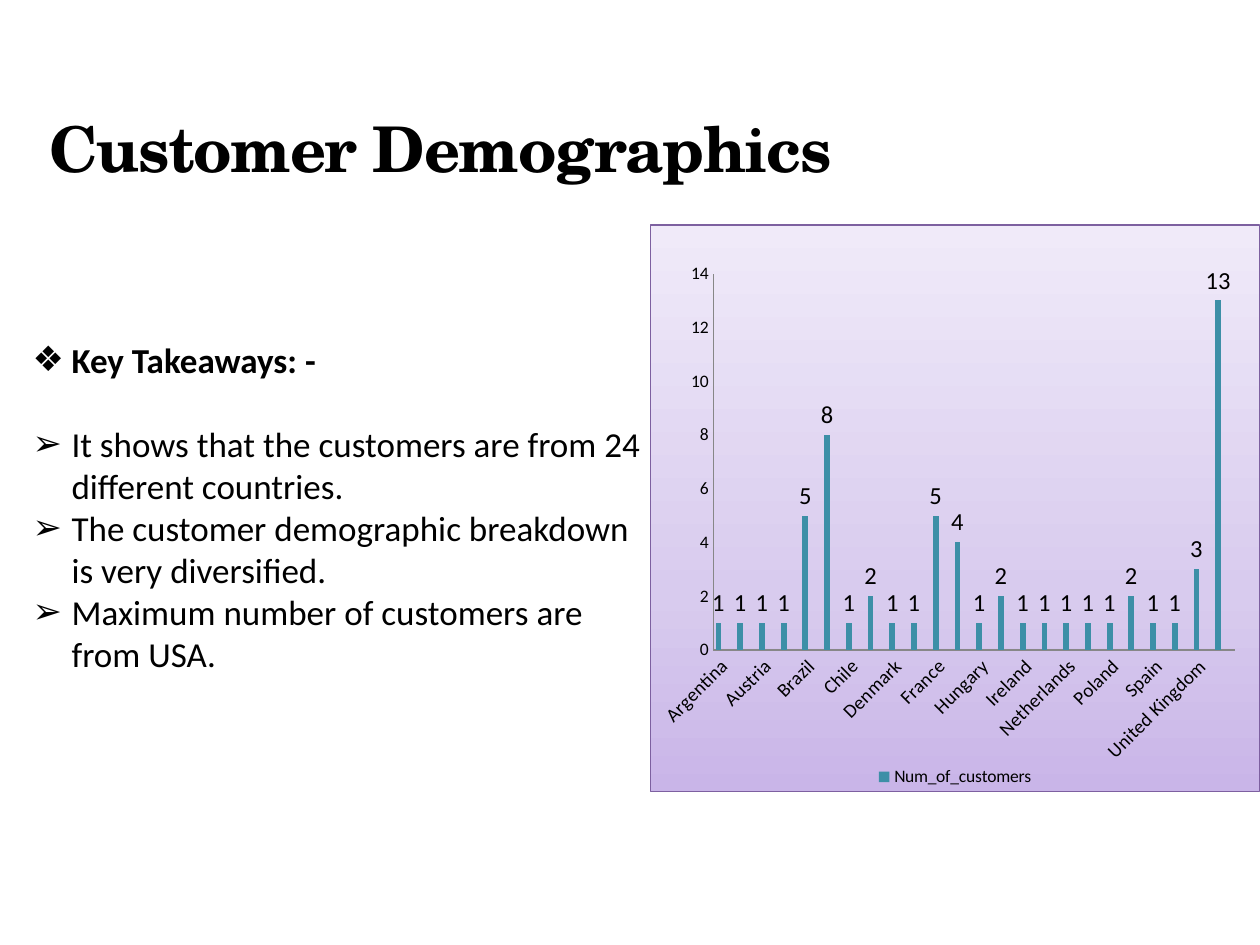
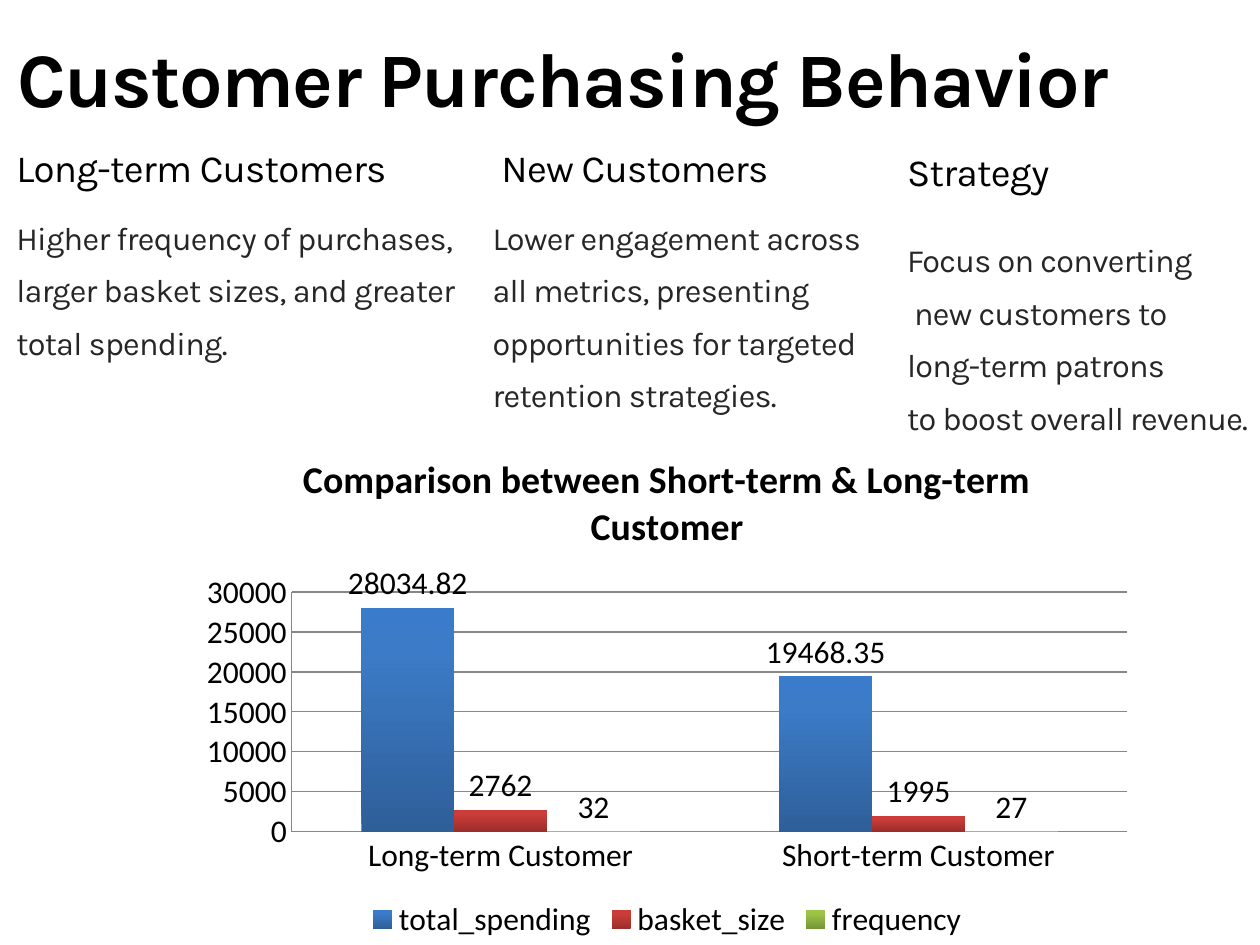
from dataclasses import dataclass

from lxml import etree
from pptx import Presentation
from pptx import util as u
from pptx.chart.data import CategoryChartData
from pptx.dml.color import RGBColor
from pptx.enum import chart as ch, text
from pptx.oxml import parse_xml
from pptx.oxml.ns import nsdecls, qn

COLS, ROWS = 100, 75
TITLE_ONLY = 5


@dataclass(frozen=True)
class Theme:
    ink: str = "000000"
    soft_ink: str = "272525"
    axis: str = "878787"
    teal: str = "3D8FA7"
    panel_line: str = "7D60A0"
    panel: tuple = ((0, "C9B5E8"), (35, "D8CBEE"), (100, "F0EAF9"))
    bars: tuple = (
        ((0, "2E5F99"), (80, "3C7BC7"), (100, "3A7CCB")),
        ((0, "9B2D2A"), (80, "CB3D3A"), (100, "CE3B37")),
        ((0, "769535"), (80, "9BC348"), (100, "9CC746")),
    )
    serif: str = "TeX Gyre Schola"
    sans: str = "Karla"
    body: str = "Calibri"
    serif_title: float = 36
    sans_title: float = 44
    heading: float = 22
    detail: float = 18.5
    takeaway: float = 20
    chart_title: float = 21.6


def gradient(stops):
    """Return a gradient fill that runs from bottom to top."""
    marks = "".join(
        f'<a:gs pos="{pos * 1000}"><a:srgbClr val="{color}"/></a:gs>'
        for pos, color in stops)
    return parse_xml(
        f'<a:gradFill {nsdecls("a")} rotWithShape="1"><a:gsLst>{marks}</a:gsLst>'
        '<a:lin ang="16200000" scaled="0"/></a:gradFill>')


class Deck:
    def __init__(self, theme):
        self.theme = theme
        self.prs = Presentation()
        self.prs.slide_width, self.prs.slide_height = u.Inches(10), u.Inches(7.5)
        self.slide = None

    def new_slide(self):
        layout = self.prs.slide_layouts[TITLE_ONLY]
        self.slide = self.prs.slides.add_slide(layout)

    def box(self, col, row, width, height):
        """Turn grid columns and rows into slide lengths."""
        dx, dy = self.prs.slide_width / COLS, self.prs.slide_height / ROWS
        return [round(n) for n in (col * dx, row * dy, width * dx, height * dy)]

    def frame(self, sp, wrap, inset):
        tf = sp.text_frame
        tf.word_wrap = wrap
        tf.auto_size = text.MSO_AUTO_SIZE.NONE
        tf.vertical_anchor = text.MSO_ANCHOR.TOP
        if not inset:
            tf.margin_left = tf.margin_top = tf.margin_right = tf.margin_bottom = 0
        return tf

    def style(self, tf, font, size, color, bold=False, leading=None, tracking=0):
        for p in tf.paragraphs:
            p.alignment = text.PP_ALIGN.LEFT
            if leading:
                p.line_spacing = u.Pt(leading)
            for r in p.runs:
                r.font.name, r.font.size, r.font.bold = font, u.Pt(size), bold
                r.font.color.rgb = RGBColor.from_string(color)
                if tracking:
                    r._r.get_or_add_rPr().set("spc", str(round(tracking * 100)))

    def title(self, words, at, font, size, leading, tracking, inset=False):
        sp = self.slide.shapes.title
        sp.left, sp.top, sp.width, sp.height = self.box(*at)
        tf = self.frame(sp, wrap=True, inset=inset)
        tf.text = words
        self.style(tf, font, size, self.theme.ink, True, leading, tracking)

    def note(self, words, at, size, color, leading):
        sp = self.slide.shapes.add_textbox(*self.box(*at))
        tf = self.frame(sp, wrap=False, inset=False)
        tf.text = words
        self.style(tf, self.theme.sans, size, color, False, leading, -0.4)

    def takeaways(self, heading, points, at, top_rows):
        sp = self.slide.shapes.add_textbox(*self.box(*at))
        tf = self.frame(sp, wrap=True, inset=True)
        tf.margin_top = self.box(0, 0, 0, top_rows)[3]
        tf.text = "\n".join([heading, *points])
        indent = u.Inches(0.31)
        for i, p in enumerate(tf.paragraphs):
            pPr = p._p.get_or_add_pPr()
            pPr.set("marL", str(indent))
            pPr.set("indent", str(-indent))
            etree.SubElement(pPr, qn("a:buFont")).set("typeface", self.theme.body)
            etree.SubElement(pPr, qn("a:buChar")).set("char", "➢" if i else "❖")
        self.style(tf, self.theme.body, self.theme.takeaway, self.theme.ink)
        first, second = tf.paragraphs[:2]
        first.runs[0].font.bold = True
        second.space_before = u.Pt(24)

    def columns(self, cats, series, at, size, gap, top, step, grid=False):
        """Add a clustered column chart with plain axes and a legend below."""
        data = CategoryChartData()
        data.categories = cats
        for name, values in series:
            data.add_series(name, values)
        chart = self.slide.shapes.add_chart(
            ch.XL_CHART_TYPE.COLUMN_CLUSTERED, *self.box(*at), data).chart
        chart.font.name, chart.font.size = self.theme.body, u.Pt(size)
        chart.font.color.rgb = RGBColor.from_string(self.theme.ink)
        chart.has_title = False
        chart.has_legend = True
        chart.legend.position = ch.XL_LEGEND_POSITION.BOTTOM
        chart.legend.include_in_layout = False
        plot = chart.plots[0]
        plot.gap_width, plot.overlap, plot.vary_by_categories = gap, 0, False
        axis = chart.value_axis
        axis.minimum_scale, axis.maximum_scale, axis.major_unit = 0, top, step
        axis.has_major_gridlines = grid
        lines = [axis.format.line, chart.category_axis.format.line]
        if grid:
            lines.append(axis.major_gridlines.format.line)
        for line in lines:
            line.color.rgb = RGBColor.from_string(self.theme.axis)
            line.width = u.Pt(0.75)
        for ax in (axis, chart.category_axis):
            ax.major_tick_mark = ax.minor_tick_mark = ch.XL_TICK_MARK.NONE
        return chart

    def label_values(self, series, size):
        labels = series.data_labels
        labels.show_value = True
        labels.position = ch.XL_LABEL_POSITION.OUTSIDE_END
        labels.font.size = u.Pt(size)
        labels.font.color.rgb = RGBColor.from_string(self.theme.ink)

    def shade_bars(self, series, stops):
        series._element.get_or_add_spPr().insert(0, gradient(stops))

    def caption(self, chart, words):
        chart.has_title = True
        tf = chart.chart_title.text_frame
        tf.text = words
        self.style(tf, self.theme.body, self.theme.chart_title, self.theme.ink, True)
        tf.paragraphs[0].alignment = text.PP_ALIGN.CENTER
        chart.chart_title.include_in_layout = False

    def panel(self, chart):
        """Give the chart area its gradient and border."""
        spPr = parse_xml(
            f'<c:spPr {nsdecls("c", "a")}><a:ln w="{u.Pt(0.75)}"><a:solidFill>'
            f'<a:srgbClr val="{self.theme.panel_line}"/></a:solidFill></a:ln></c:spPr>')
        spPr.insert(0, gradient(self.theme.panel))
        chart._chartSpace.find(qn("c:chart")).addnext(spPr)

    def place_plot(self, chart, x, y, w, h):
        area = chart._chartSpace.find(qn("c:chart")).find(qn("c:plotArea"))
        for old in area.findall(qn("c:layout")):
            area.remove(old)
        sizes = "".join(f'<c:{k} val="{v}"/>' for k, v in zip("xywh", (x, y, w, h)))
        area.insert(0, parse_xml(
            f'<c:layout {nsdecls("c")}><c:manualLayout><c:layoutTarget val="inner"/>'
            f'<c:xMode val="edge"/><c:yMode val="edge"/>{sizes}'
            '</c:manualLayout></c:layout>'))

    def hide_legend_entries(self, chart, indexes):
        position = chart.legend._element.find(qn("c:legendPos"))
        for i in reversed(indexes):
            position.addnext(parse_xml(
                f'<c:legendEntry {nsdecls("c")}><c:idx val="{i}"/>'
                '<c:delete val="1"/></c:legendEntry>'))


CUSTOMERS = {
    "Argentina": 1, "Australia": 1, "Austria": 1, "Belgium": 1, "Brazil": 5,
    "Canada": 8, "Chile": 1, "Czech Republic": 2, "Denmark": 1, "Finland": 1,
    "France": 5, "Germany": 4, "Hungary": 1, "India": 2, "Ireland": 1,
    "Italy": 1, "Netherlands": 1, "Norway": 1, "Poland": 1, "Portugal": 2,
    "Spain": 1, "Sweden": 1, "United Kingdom": 3, "USA": 13,
}
TAKEAWAYS = [
    "It shows that the customers are from 24 different countries.",
    "The customer demographic breakdown is very diversified.",
    "Maximum number of customers are from USA.",
]
# heading, its column and row, text column and row, width, lines
SEGMENTS = [
    ("Long-term Customers", (1.3, 11.3), (1.3, 16.2), 36,
     ["Higher frequency of purchases,", "larger basket sizes, and greater",
      "total spending."]),
    ("New Customers", (39.8, 11.3), (39.1, 16.2), 31,
     ["Lower engagement across", "all metrics, presenting",
      "opportunities for targeted", "retention strategies."]),
    ("Strategy", (72, 11.6), (72, 18), 28,
     ["Focus on converting", " new customers to", "long-term patrons",
      "to boost overall revenue."]),
]
SPENDING = [
    ("total_spending", (28034.82, 19468.35)),
    ("basket_size", (2762, 1995)),
    ("frequency", (32, 27)),
]


def demographics(deck):
    theme = deck.theme
    deck.new_slide()
    deck.title("Customer Demographics", (2.9, 7, 74.7, 7.8), theme.serif,
               theme.serif_title, 51.5, -0.8, inset=True)
    deck.takeaways("Key Takeaways: -", TAKEAWAYS, (1.6, 20.4, 51.2, 40.1), 6.45)
    blank = [None] * len(CUSTOMERS)
    series = [("Num_of_customers", list(CUSTOMERS.values())),
              ("Series 2", blank), ("Series 3", blank)]
    chart = deck.columns(list(CUSTOMERS), series, (51.6, 17.8, 48.4, 45.1),
                         size=10, gap=75, top=14, step=2)
    count = chart.plots[0].series[0]
    count.format.fill.solid()
    count.format.fill.fore_color.rgb = RGBColor.from_string(theme.teal)
    deck.label_values(count, 14)
    countries = chart.category_axis.tick_labels
    countries.font.size = u.Pt(11)
    chart.category_axis._element.find(qn("c:txPr")).find(qn("a:bodyPr")).set(
        "rot", str(-45 * 60000))
    deck.place_plot(chart, 0.103, 0.086, 0.857, 0.664)
    deck.hide_legend_entries(chart, [1, 2])
    deck.panel(chart)


def purchasing(deck):
    theme = deck.theme
    deck.new_slide()
    deck.title("Customer Purchasing Behavior", (1.4, 2.1, 94, 7.7), theme.sans,
               theme.sans_title, 55, -0.9)
    for heading, head_at, text_at, width, lines in SEGMENTS:
        deck.note(heading, (*head_at, min(width, 30.8), 3.8),
                  theme.heading, theme.ink, 27.5)
        deck.note("\n".join(lines), (*text_at, width, 4.2 * len(lines)),
                  theme.detail, theme.soft_ink, 30)
    chart = deck.columns(["Long-term Customer", "Short-term Customer"], SPENDING,
                         (14.9, 34, 76.1, 41), size=18, gap=150,
                         top=30000, step=5000, grid=True)
    deck.caption(chart, "Comparison between Short-term & Long-term Customer")
    for series, stops in zip(chart.plots[0].series, theme.bars):
        deck.shade_bars(series, stops)
        deck.label_values(series, 18)


def main():
    deck = Deck(Theme())
    demographics(deck)
    purchasing(deck)
    deck.prs.save("out.pptx")


if __name__ == "__main__":
    main()
